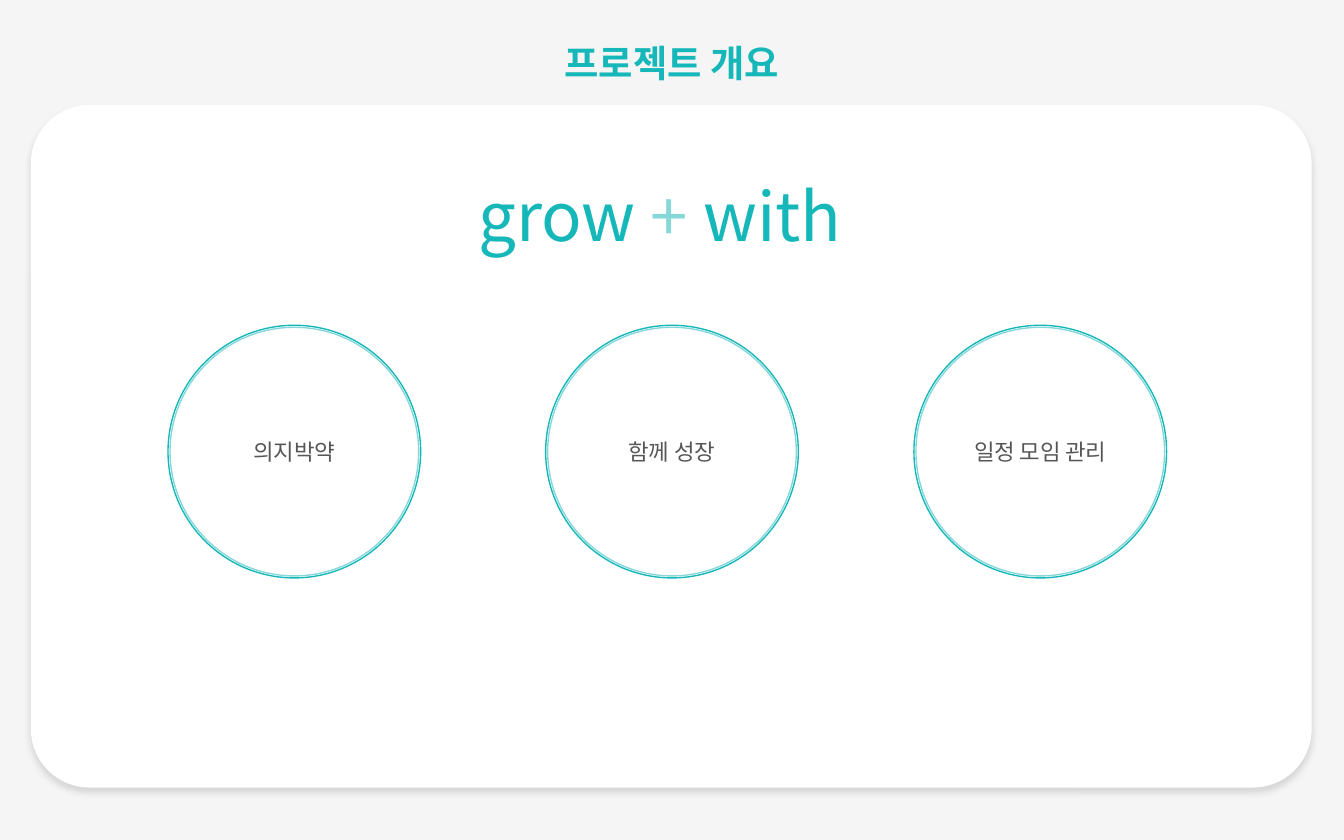
from lxml import etree
from pptx import Presentation
from pptx.dml.color import RGBColor
from pptx.enum.shapes import MSO_SHAPE as Shape
from pptx.enum.text import MSO_ANCHOR as Anchor, PP_ALIGN as Align
from pptx.oxml import parse_xml
from pptx.oxml.ns import nsdecls, qn
from pptx.util import Inches, Pt

TEAL = RGBColor(0x16, 0xB7, 0xB9)
PALE_TEAL = RGBColor(0x86, 0xD7, 0xD8)
GREY = RGBColor(0x56, 0x56, 0x56)
WHITE = RGBColor(0xFF, 0xFF, 0xFF)
BACKDROP = RGBColor(0xF5, 0xF5, 0xF5)
FONT = "Noto Sans CJK KR"


def write(frame, runs, bold=False):
    frame.word_wrap = True
    paragraph = frame.paragraphs[0]
    paragraph.alignment = Align.CENTER
    for text, size, color in runs:
        run = paragraph.add_run()
        run.text = text
        run.font.size = Pt(size)
        run.font.bold = bold
        run.font.color.rgb = color
        run.font.name = FONT
        etree.SubElement(run.font._element, qn("a:ea"), typeface=FONT)


def add_circle(group, left, top, diameter, color):
    circle = group.shapes.add_shape(
        Shape.OVAL, Inches(left), Inches(top), Inches(diameter), Inches(diameter))
    circle.shadow.inherit = False
    circle.fill.solid()
    circle.fill.fore_color.rgb = WHITE
    circle.line.color.rgb = color
    circle.line.width = Pt(0.75)
    return circle


prs = Presentation()
prs.slide_width = Inches(10)
prs.slide_height = Inches(6.25)
slide = prs.slides.add_slide(prs.slide_layouts[5])
slide.background.fill.solid()
slide.background.fill.fore_color.rgb = BACKDROP

card = slide.shapes.add_shape(
    Shape.ROUNDED_RECTANGLE, Inches(0.23), Inches(0.78), Inches(9.53), Inches(5.08))
card.adjustments[0] = 0.086
card.fill.solid()
card.fill.fore_color.rgb = WHITE
card.line.fill.background()
card._element.spPr.append(parse_xml(
    f'<a:effectLst {nsdecls("a")}>'
    f'<a:outerShdw blurRad="{Pt(4)}" dist="{Pt(3)}" dir="5400000" algn="t" rotWithShape="0">'
    '<a:srgbClr val="000000"><a:alpha val="12000"/></a:srgbClr>'
    '</a:outerShdw></a:effectLst>'))
slide.shapes._spTree.insert(2, card._element)

title = slide.shapes.title
title.left, title.top = Inches(0.5), Inches(0.08)
title.width, title.height = Inches(9), Inches(0.77)
title.text_frame.vertical_anchor = Anchor.MIDDLE
write(title.text_frame, [("프로젝트 개요", 20, TEAL)], bold=True)

slogan = slide.shapes.add_textbox(Inches(3.27), Inches(1.25), Inches(3.28), Inches(0.71))
write(slogan.text_frame, [("grow ", 36, TEAL), ("+", 36, PALE_TEAL), (" with", 36, TEAL)])

space = (" ", 10, GREY)
themes = [
    (1.25, [("의지박약", 12, GREY)]),
    (4.06, [("함께 성장", 12, GREY)]),
    (6.8, [("일정", 12, GREY), space, ("모임", 12, GREY), space, ("관리", 12, GREY)]),
]
for left, label in themes:
    ring = slide.shapes.add_group_shape()
    add_circle(ring, left, 2.42, 1.88, TEAL)
    inner = add_circle(ring, left + 0.015, 2.435, 1.85, PALE_TEAL)
    inner.text_frame.vertical_anchor = Anchor.MIDDLE
    write(inner.text_frame, label)

prs.save("out.pptx")
